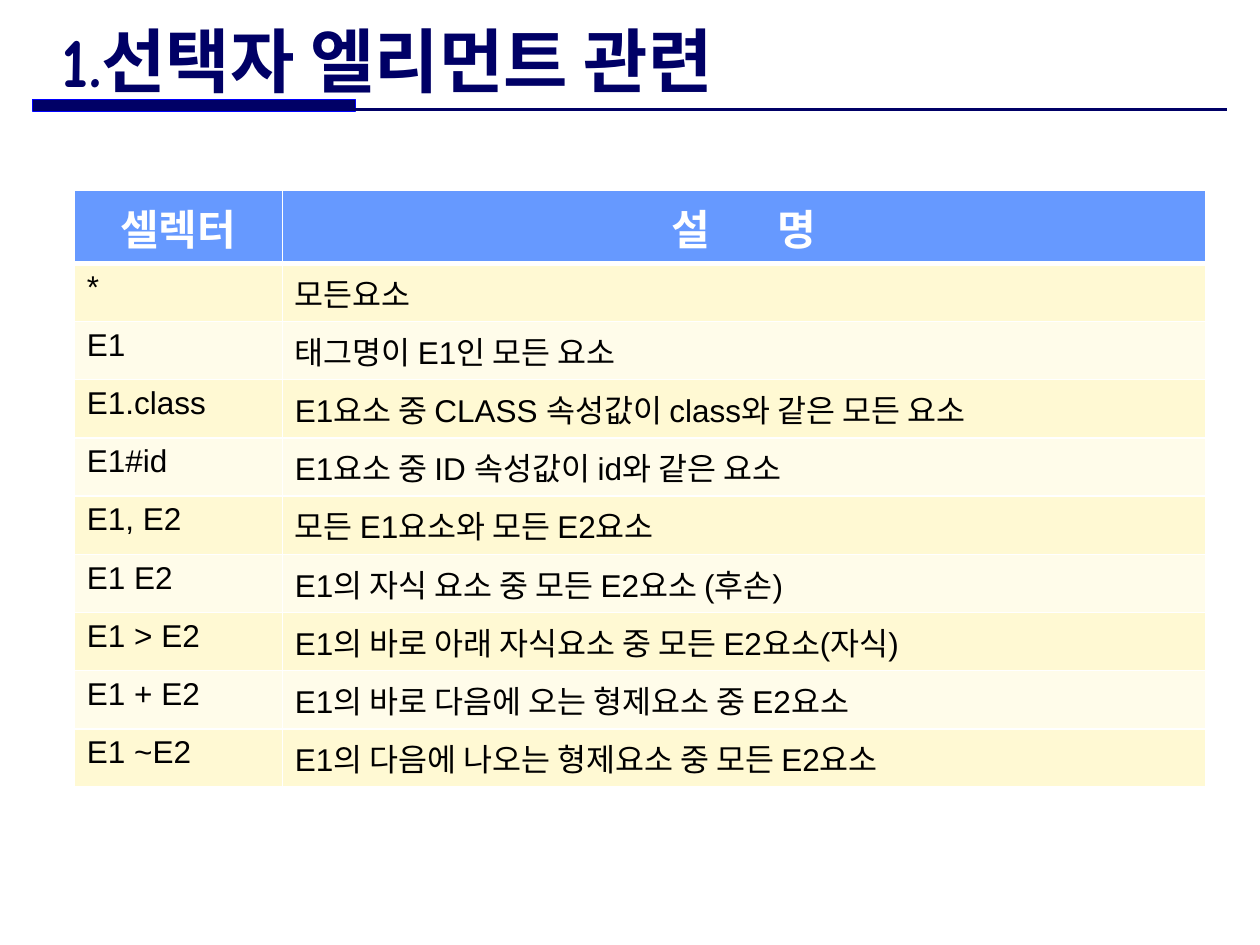
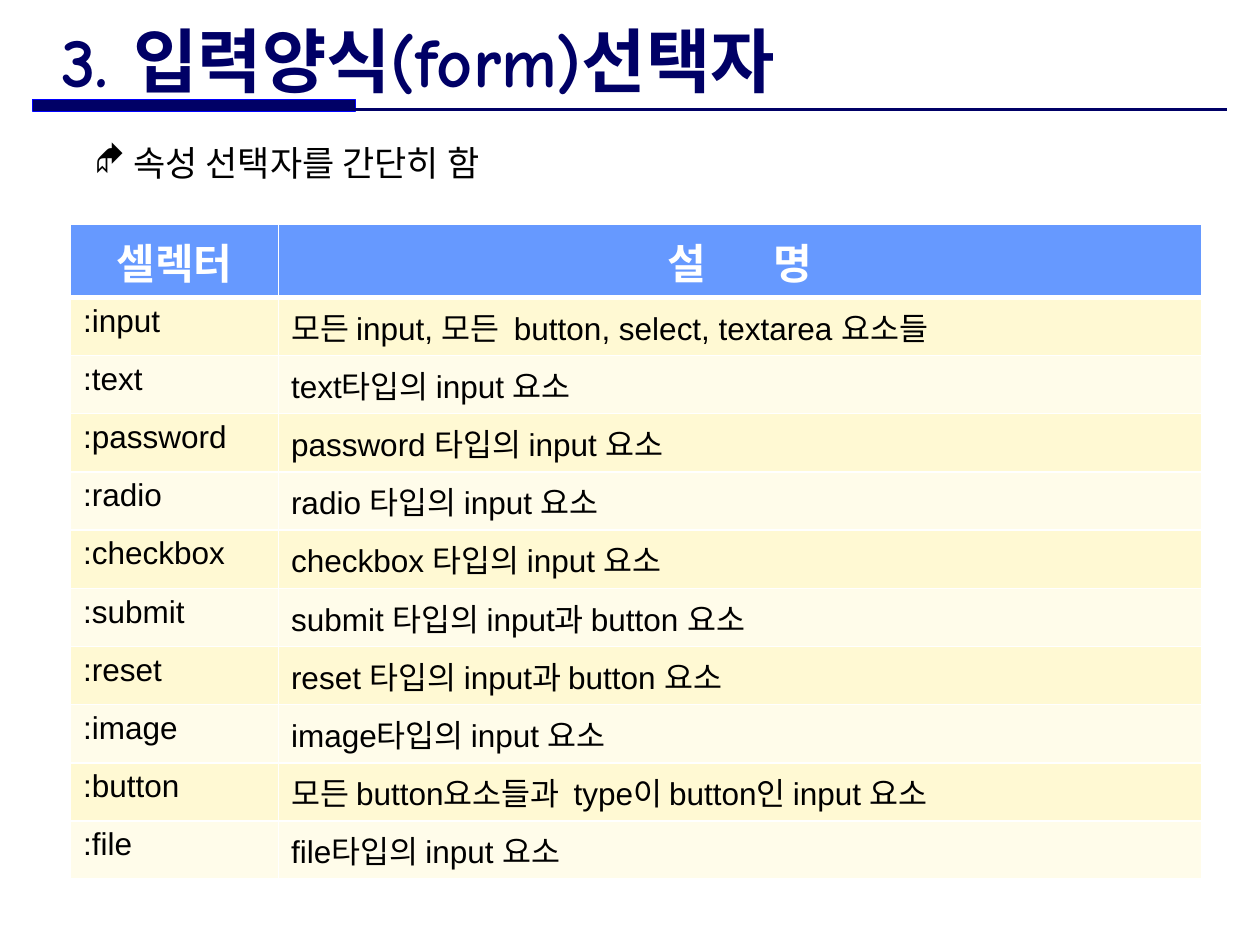
from dataclasses import dataclass

from lxml.etree import SubElement
from pptx import Presentation
from pptx.dml.color import RGBColor as Color
from pptx.enum.shapes import MSO_CONNECTOR as Connector, MSO_SHAPE as Shape
from pptx.enum.text import MSO_ANCHOR as Anchor, PP_ALIGN as Align
from pptx.oxml.ns import qn
from pptx.util import Inches, Pt

GRID_COLUMNS, GRID_ROWS = 100, 75


@dataclass(frozen=True)
class Theme:
    navy: str = "000066"
    band_edge: str = "0000FF"
    header: str = "6699FF"
    row_fills: tuple = ("FFF9D3", "FFFCEA")
    white: str = "FFFFFF"
    black: str = "000000"
    title_font: str = "Comic Neue"
    body_font: str = "Arial"
    korean_font: str = "Noto Sans CJK KR"
    title_size: int = 40
    header_size: int = 24
    bullet_size: int = 20
    cell_size: int = 18


class SelectorDeck:
    """Holds the theme and the slide being drawn; lengths are grid units."""

    def __init__(self, theme):
        self.theme = theme
        self.deck = Presentation()
        self.deck.slide_width, self.deck.slide_height = Inches(10), Inches(7.5)
        self.slide = None

    def across(self, columns):
        return round(self.deck.slide_width * columns / GRID_COLUMNS)

    def down(self, rows):
        return round(self.deck.slide_height * rows / GRID_ROWS)

    def area(self, left, top, width, height):
        return self.across(left), self.down(top), self.across(width), self.down(height)

    def style(self, para, size, color, font=None, bold=False):
        for span in para.runs:
            span.font.name = font or self.theme.body_font
            span.font.size = Pt(size)
            span.font.bold = bold
            span.font.color.rgb = Color.from_string(color)
            east_asian = SubElement(span.font._element, qn("a:ea"))
            east_asian.set("typeface", self.theme.korean_font)

    def add_slide(self, title):
        self.slide = self.deck.slides.add_slide(self.deck.slide_layouts[6])
        self.add_title_rule()
        para = self.add_text(title, (3.9, 2.1, 67.9, 5.2), Anchor.MIDDLE)
        self.style(para, self.theme.title_size, self.theme.navy,
                   self.theme.title_font, bold=True)

    def add_title_rule(self):
        navy = Color.from_string(self.theme.navy)
        band = self.slide.shapes.add_shape(Shape.RECTANGLE, *self.area(2.6, 7.9, 25.6, 0.9))
        band.shadow.inherit = False
        band.fill.solid()
        band.fill.fore_color.rgb = navy
        band.line.color.rgb = Color.from_string(self.theme.band_edge)
        band.line.width = Pt(0.75)
        height = self.down(8.7)
        rule = self.slide.shapes.add_connector(
            Connector.STRAIGHT, self.across(2.6), height, self.across(97.4), height)
        rule.line.color.rgb = navy
        rule.line.width = Pt(1.5)
        SubElement(rule._element.spPr, qn("a:effectLst"))

    def add_text(self, text, area, anchor=Anchor.TOP):
        box = self.slide.shapes.add_textbox(*self.area(*area))
        frame = box.text_frame
        frame.word_wrap = True
        frame.vertical_anchor = anchor
        frame.text = text
        return frame.paragraphs[0]

    def add_bullet(self, text, area):
        para = self.add_text(text, area)
        self.style(para, self.theme.bullet_size, self.theme.black, self.theme.korean_font)
        settings = para._p.get_or_add_pPr()
        indent = self.across(3.1)
        settings.set("marL", str(indent))
        settings.set("indent", str(-indent))
        SubElement(settings, qn("a:buFont")).set("typeface", "Wingdings")
        SubElement(settings, qn("a:buChar")).set("char", "◆")

    def add_selector_table(self, left, top, rows):
        widths, header_height, row_height = (16.5, 73.3), 5.8, 4.62
        height = header_height + row_height * len(rows)
        frame = self.slide.shapes.add_table(
            len(rows) + 1, len(widths), *self.area(left, top, sum(widths), height))
        table = frame.table
        for column, width in zip(table.columns, widths):
            column.width = self.across(width)
        for index, row in enumerate(table.rows):
            row.height = self.down(row_height if index else header_height)

        for cell, parts in zip(table.rows[0].cells, (("셀렉터",), ("설", " ", "명"))):
            self.fill_header(cell, parts)
        for index, texts in enumerate(rows):
            fill = self.theme.row_fills[index % 2]
            for cell, text in zip(table.rows[index + 1].cells, texts):
                cell.text = text
                self.style(cell.text_frame.paragraphs[0], self.theme.cell_size, self.theme.black)
                self.finish_cell(cell, fill, top_width=1 if index else 3)

    def fill_header(self, cell, parts):
        """Write a centred heading; a lone space between parts is widened."""
        para = cell.text_frame.paragraphs[0]
        para.alignment = Align.CENTER
        for part in parts:
            span = para.add_run()
            span.text = part
            if part == " ":
                span.font._element.set("spc", "3300")
        self.style(para, self.theme.header_size, self.theme.white, bold=True)
        self.finish_cell(cell, self.theme.header, bottom_width=3)

    def finish_cell(self, cell, fill, top_width=1, bottom_width=1):
        """Draw the white borders, then the fill, in the order the schema needs."""
        settings = cell._tc.get_or_add_tcPr()
        borders = {"lnL": 1, "lnR": 1, "lnT": top_width, "lnB": bottom_width}
        for side, width in borders.items():
            border = SubElement(settings, qn(f"a:{side}"), w=str(Pt(width)))
            paint = SubElement(border, qn("a:solidFill"))
            SubElement(paint, qn("a:srgbClr"), val=self.theme.white)
        cell.fill.solid()
        cell.fill.fore_color.rgb = Color.from_string(fill)


ELEMENT_SELECTORS = [
    ("*", "모든요소"),
    ("E1", "태그명이 E1인 모든 요소"),
    ("E1.class", "E1요소 중 CLASS 속성값이 class와 같은 모든 요소"),
    ("E1#id", "E1요소 중 ID 속성값이 id와 같은 요소"),
    ("E1, E2", "모든 E1요소와 모든 E2요소"),
    ("E1 E2", "E1의 자식 요소 중 모든 E2요소 (후손)"),
    ("E1 > E2", "E1의 바로 아래 자식요소 중 모든 E2요소(자식)"),
    ("E1 + E2", "E1의 바로 다음에 오는 형제요소 중 E2요소"),
    ("E1 ~E2", "E1의 다음에 나오는 형제요소 중 모든 E2요소"),
]

FORM_SELECTORS = [
    (":input", "모든 input, 모든  button, select, textarea 요소들"),
    (":text", "text타입의 input 요소"),
    (":password", "password 타입의 input 요소"),
    (":radio", "radio 타입의 input 요소"),
    (":checkbox", "checkbox 타입의 input 요소"),
    (":submit", "submit 타입의 input과 button 요소"),
    (":reset", "reset 타입의 input과 button 요소"),
    (":image", "image타입의 input 요소"),
    (":button", "모든 button요소들과  type이 button인 input 요소"),
    (":file", "file타입의 input 요소"),
]


def main():
    selectors = SelectorDeck(Theme())
    selectors.add_slide("1.선택자 엘리먼트 관련")
    selectors.add_selector_table(5.9, 15.1, ELEMENT_SELECTORS)

    selectors.add_slide("3. 입력양식(form)선택자")
    selectors.add_selector_table(5.6, 17.8, FORM_SELECTORS)
    selectors.add_bullet("속성 선택자를 간단히 함", (6.5, 10.7, 79.2, 4.4))
    selectors.deck.save("out.pptx")


if __name__ == "__main__":
    main()
